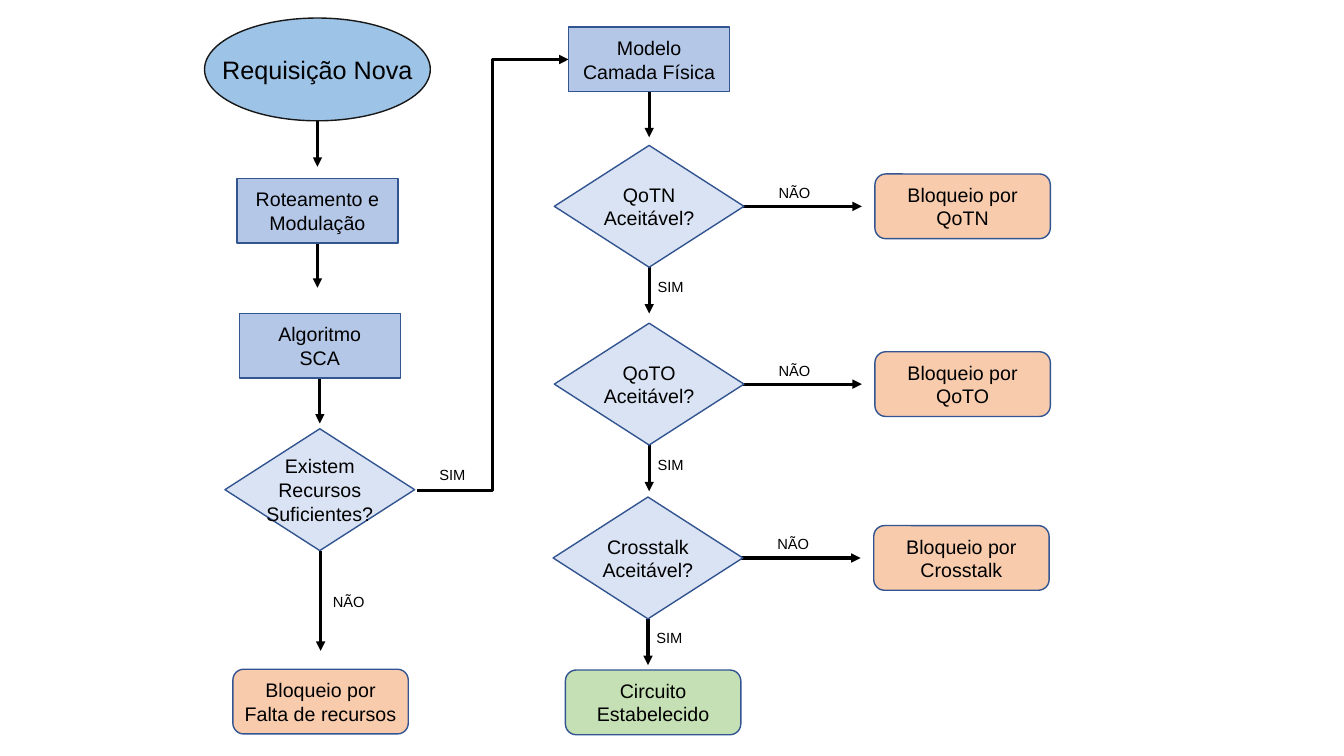
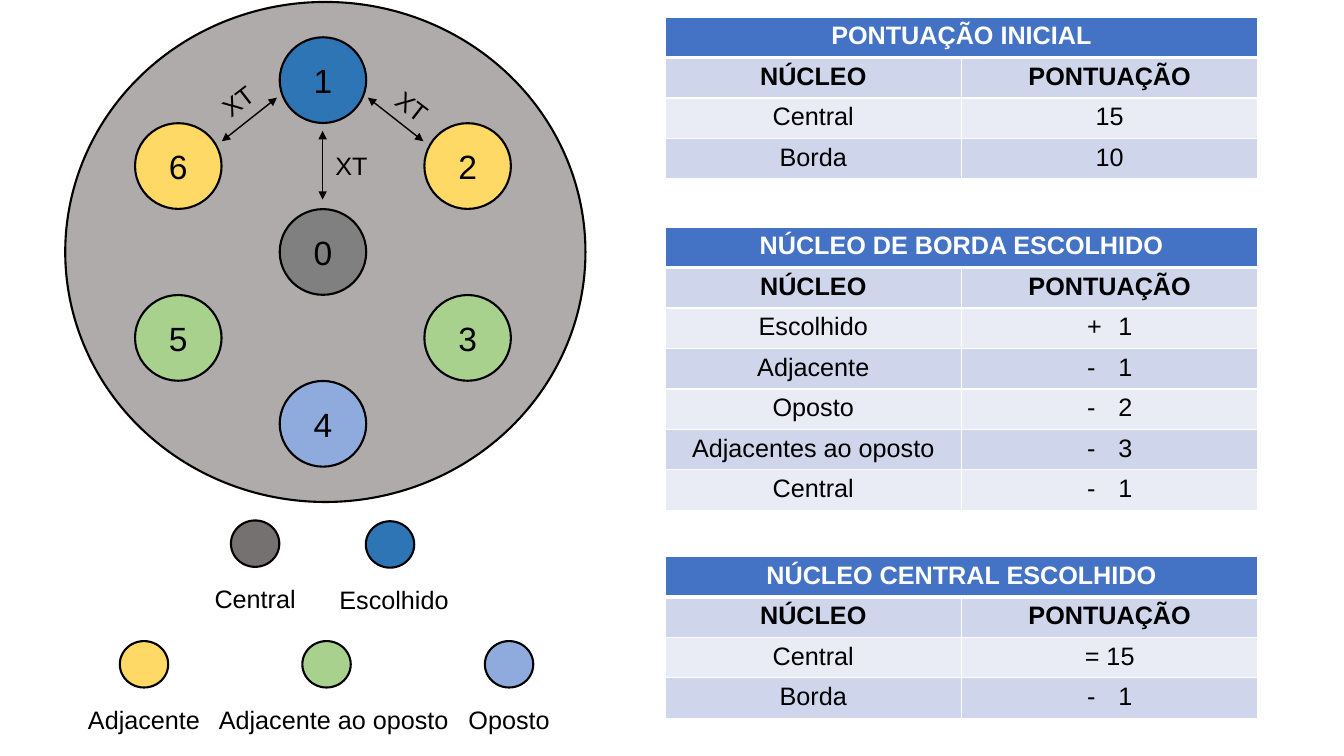
from math import cos, radians, sin

from lxml.etree import SubElement
from pptx import Presentation
from pptx.dml.color import RGBColor
from pptx.enum.shapes import MSO_CONNECTOR as Link, MSO_SHAPE as Kind
from pptx.enum.text import MSO_ANCHOR as Anchor, PP_ALIGN as Align
from pptx.oxml.ns import qn
from pptx.util import Cm, Pt

FONT = "Arial"
BLACK = RGBColor(0x00, 0x00, 0x00)
WHITE = RGBColor(0xFF, 0xFF, 0xFF)
NAVY = RGBColor(0x32, 0x54, 0x91)
INK = RGBColor(0x18, 0x17, 0x17)
SKY = RGBColor(0x9D, 0xC3, 0xE6)
STEP_BLUE = RGBColor(0xB4, 0xC7, 0xE7)
PALE_BLUE = RGBColor(0xDA, 0xE3, 0xF3)
PEACH = RGBColor(0xF8, 0xCB, 0xAD)
PALE_GREEN = RGBColor(0xC5, 0xE0, 0xB4)
FIBER_GRAY = RGBColor(0xAF, 0xAB, 0xAB)
CORE_GRAY = RGBColor(0x80, 0x80, 0x80)
LEGEND_GRAY = RGBColor(0x76, 0x71, 0x71)
BLUE = RGBColor(0x2E, 0x75, 0xB6)
YELLOW = RGBColor(0xFF, 0xD9, 0x66)
GREEN = RGBColor(0xA9, 0xD1, 0x8E)
PERIWINKLE = RGBColor(0x8F, 0xAA, 0xDC)
HEADER_BLUE = RGBColor(0x44, 0x72, 0xC4)
BAND_DARK = RGBColor(0xCF, 0xD5, 0xEA)
BAND_LIGHT = RGBColor(0xE9, 0xEB, 0xF5)

STEP = (4.06, 1.63)
DECISION = (4.78, 3.07)
RESULT = (4.42, 1.63)
START = (5.69, 2.59)
LABEL = (1.3, 0.72)
CORE = (2.18, 2.16)
DOT = (1.22, 1.17)


def add_box(page, kind, center, size, text, points, fill=None, outline=NAVY, weight=1, turn=0):
    place = [Cm(center[0] - size[0] / 2), Cm(center[1] - size[1] / 2), Cm(size[0]), Cm(size[1])]
    if kind is None:
        box = page.shapes.add_textbox(*place)
    else:
        box = page.shapes.add_shape(kind, *place)
        box.shadow.inherit = False
        box.fill.solid()
        box.fill.fore_color.rgb = fill
        box.line.color.rgb = outline
        box.line.width = Pt(weight)
    box.rotation = turn
    frame = box.text_frame
    frame.word_wrap = kind in (Kind.RECTANGLE, Kind.ROUNDED_RECTANGLE)
    frame.vertical_anchor = Anchor.MIDDLE
    frame.margin_left = frame.margin_right = Cm(0.1)
    frame.margin_top = frame.margin_bottom = Cm(0)
    frame.text = text
    for para in frame.paragraphs:
        para.alignment = Align.CENTER
        para.font.size = Pt(points)
        for span in para.runs:
            span.font.name = FONT
            span.font.size = Pt(points)
            span.font.color.rgb = BLACK


def add_arrow(page, start, end, weight=2.25, link=Link.STRAIGHT, ends=("tailEnd",)):
    arrow = page.shapes.add_connector(link, *[Cm(length) for length in (*start, *end)])
    arrow.line.color.rgb = BLACK
    arrow.line.width = Pt(weight)
    outline = arrow.element.spPr.find(qn("a:ln"))
    for tip in ends:
        SubElement(outline, qn(f"a:{tip}"), type="triangle")
    SubElement(arrow.element.spPr, qn("a:effectLst"))


deck = Presentation()
deck.slide_width = Cm(33.87)
deck.slide_height = Cm(19.05)
blank = deck.slide_layouts[6]

flow = deck.slides.add_slide(blank)

for start, end in [
    ((8, 3.05), (8, 4.2)),
    ((8, 6.1), (8, 7.25)),
    ((8.06, 9.52), (8.06, 10.67)),
    ((8.08, 13.88), (8.08, 16.4)),
    ((16.36, 2.31), (16.36, 3.46)),
]:
    add_arrow(flow, start, end)
add_arrow(flow, (10.5, 12.36), (14.33, 1.5), link=Link.ELBOW)

add_box(flow, Kind.OVAL, (8, 1.75), START, "Requisição Nova", 18, SKY, INK)
for center, text in [
    ((8, 5.31), "Roteamento e Modulação"),
    ((8.06, 8.71), "Algoritmo\nSCA"),
    ((16.36, 1.5), "Modelo\nCamada Física"),
]:
    add_box(flow, Kind.RECTANGLE, center, STEP, text, 14, STEP_BLUE)

add_box(flow, Kind.DIAMOND, (8.06, 12.34), DECISION, "Existem\nRecursos\nSuficientes?", 14, PALE_BLUE)
add_box(flow, None, (11.4, 11.95), LABEL, "SIM", 10.5)
add_box(flow, None, (8.79, 15.16), LABEL, "NÃO", 10.5)

for name, x, y in [("QoTN", 16.36, 5.22), ("QoTO", 16.36, 9.7), ("Crosstalk", 16.33, 14.08)]:
    y = round(y - 0.02, 2)
    add_arrow(flow, (x + 2.34, y), (x + 5.36, y))
    add_arrow(flow, (x, y + 1.54), (x, y + 2.7))
    add_box(flow, Kind.DIAMOND, (x, y), DECISION, f"{name}\nAceitável?", 14, PALE_BLUE)
    add_box(flow, Kind.ROUNDED_RECTANGLE, (x + 7.9, y), RESULT, f"Bloqueio por\n{name}", 14, PEACH)
    add_box(flow, None, (x + 3.66, y - 0.35), LABEL, "NÃO", 10.5)
    add_box(flow, None, (x + 0.54, y + 2.02), LABEL, "SIM", 10.5)

for center, text, fill in [
    ((8.08, 17.68), "Bloqueio por\nFalta de recursos", PEACH),
    ((16.46, 17.7), "Circuito Estabelecido", PALE_GREEN),
]:
    add_box(flow, Kind.ROUNDED_RECTANGLE, center, RESULT, text, 14, fill)

scores = deck.slides.add_slide(blank)

add_box(scores, Kind.OVAL, (8.2, 6.35), (13.11, 12.6), "", 18, FIBER_GRAY, BLACK, 1.5)
add_box(scores, Kind.OVAL, (8.14, 6.35), CORE, "0", 24, CORE_GRAY, BLACK, 1.5)
for index, fill in enumerate([BLUE, YELLOW, GREEN, PERIWINKLE, GREEN, YELLOW]):
    angle = radians(60 * index)
    center = (8.14 + 4.21 * sin(angle), 6.35 - 4.33 * cos(angle))
    add_box(scores, Kind.OVAL, center, CORE, str(index + 1), 24, fill, BLACK, 1.5)

for start, end, center, turn in [
    ((5.59, 3.56), (6.98, 2.46), (5.99, 2.54), 322.2),
    ((10.67, 3.56), (9.27, 2.46), (10.39, 2.67), 37.8),
    ((8.13, 3.3), (8.13, 5.03), (8.86, 4.17), 0),
]:
    add_arrow(scores, start, end, 1, ends=("headEnd", "tailEnd"))
    add_box(scores, None, center, (1.32, 1.02), "XT", 18, turn=turn)

for text, dot_x, label_x, y, fill in [
    ("Central", 6.43, 6.43, 13.7, LEGEND_GRAY),
    ("Escolhido", 9.83, 9.93, 13.72, BLUE),
    ("Adjacente", 3.63, 3.63, 16.74, YELLOW),
    ("Adjacente ao oposto", 8.23, 8.41, 16.74, GREEN),
    ("Oposto", 12.83, 12.83, 16.74, PERIWINKLE),
]:
    add_box(scores, Kind.OVAL, (dot_x, y), DOT, "", 18, fill, BLACK, 1.5)
    add_box(scores, None, (label_x, y + 1.38), (6.35, 1.02), text, 18)

for top, heading, entries in [
    (0.43, "PONTUAÇÃO INICIAL", [("Central", "", "15"), ("Borda", "", "10")]),
    (5.72, "NÚCLEO DE BORDA ESCOLHIDO", [
        ("Escolhido", "+", "1"),
        ("Adjacente", "-", "1"),
        ("Oposto", "-", "2"),
        ("Adjacentes ao oposto", "-", "3"),
        ("Central", "-", "1"),
    ]),
    (14.02, "NÚCLEO CENTRAL ESCOLHIDO", [("Central", "", "= 15"), ("Borda", "-", "1")]),
]:
    rows = [(heading, "", ""), ("NÚCLEO", "", "PONTUAÇÃO"), *entries]
    height = 1.02
    table = scores.shapes.add_table(
        len(rows), 2, Cm(16.76), Cm(top), Cm(14.94), Cm(height * len(rows))
    ).table
    table.cell(0, 0).merge(table.cell(0, 1))
    for row, (core, sign, score) in enumerate(rows):
        table.rows[row].height = Cm(height)
        for column, text in enumerate((core, score)):
            cell = table.cell(row, column)
            properties = cell._tc.get_or_add_tcPr()
            for side in "LRTB":
                thick = (row, side) in ((0, "B"), (1, "T"))
                border = SubElement(properties, qn(f"a:ln{side}"), w=str(Pt(3 if thick else 1)))
                paint = SubElement(border, qn("a:solidFill"))
                SubElement(paint, qn("a:srgbClr"), val=str(WHITE))
            cell.fill.solid()
            cell.fill.fore_color.rgb = HEADER_BLUE if row == 0 else BAND_DARK if row % 2 else BAND_LIGHT
            if cell.is_spanned:
                continue
            para = cell.text_frame.paragraphs[0]
            para.text = text
            para.alignment = Align.CENTER
            if column == 1 and sign:
                layout = para._p.get_or_add_pPr()
                layout.set("marL", str(Cm(0.79)))
                layout.set("indent", str(Cm(-0.79)))
                SubElement(layout, qn("a:buFont"), typeface=FONT)
                SubElement(layout, qn("a:buChar"), char=sign)
            for span in para.runs:
                span.font.name = FONT
                span.font.size = Pt(18)
                span.font.bold = row < 2
                span.font.color.rgb = WHITE if row == 0 else BLACK

deck.save("out.pptx")
